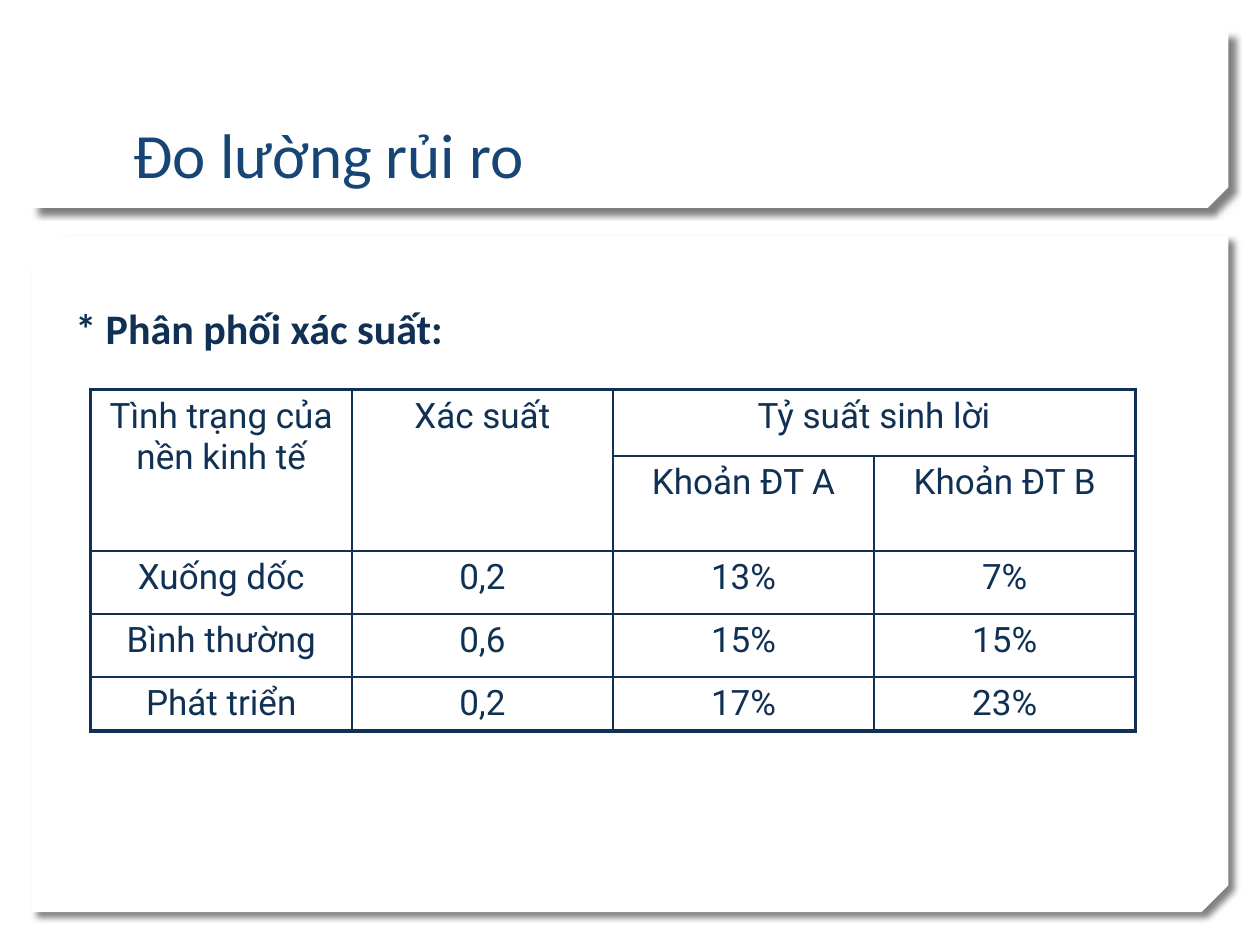
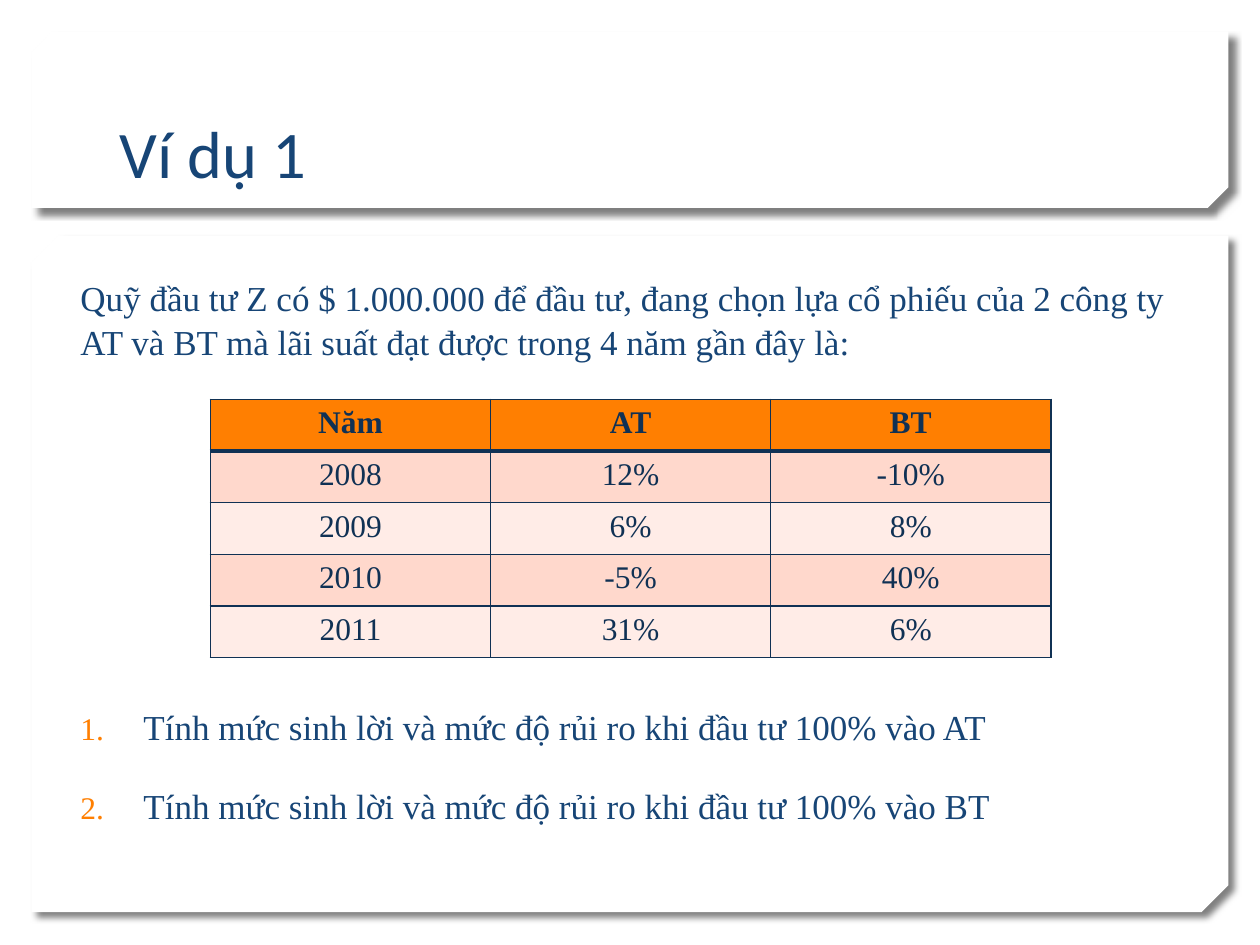
from lxml import etree
from pptx import Presentation
from pptx.dml.color import RGBColor
from pptx.enum.shapes import MSO_SHAPE as Shape
from pptx.enum.text import MSO_ANCHOR as Anchor, MSO_AUTO_SIZE as AutoSize, PP_ALIGN as Align
from pptx.oxml.ns import qn
from pptx.util import Inches, Pt

# Content
RISK_TITLE = "Đo lường rủi ro"
RISK_HEADING = "* Phân phối xác suất:"
RISK_ROWS = [
    ["Tình trạng của nền kinh tế", "Xác suất", "Tỷ suất sinh lời", ""],
    ["", "", "Khoản ĐT A", "Khoản ĐT B"],
    ["Xuống dốc", "0,2", "13%", "7%"],
    ["Bình thường", "0,6", "15%", "15%"],
    ["Phát triển", "0,2", "17%", "23%"],
]
RISK_ROW_HEIGHTS = [0.53, 0.75, 0.5, 0.5, 0.42]
RISK_MERGES = [((0, 0), (1, 0)), ((0, 1), (1, 1)), ((0, 2), (0, 3))]

EXAMPLE_TITLE = "Ví dụ 1"
EXAMPLE_INTRO = ("Quỹ đầu tư Z có $ 1.000.000 để đầu tư, đang chọn lựa cổ phiếu của 2 công ty "
                 "AT và BT mà lãi suất đạt được trong 4 năm gần đây là:")
EXAMPLE_ROWS = [
    ["Năm", "AT", "BT"],
    ["2008", "12%", "-10%"],
    ["2009", "6%", "8%"],
    ["2010", "-5%", "40%"],
    ["2011", "31%", "6%"],
]
EXAMPLE_QUESTIONS = [
    "Tính mức sinh lời và mức độ rủi ro khi đầu tư 100% vào AT",
    "Tính mức sinh lời và mức độ rủi ro khi đầu tư 100% vào BT",
]

# Shared look
WHITE = RGBColor(0xFF, 0xFF, 0xFF)
BLUE = RGBColor(0x17, 0x45, 0x76)
NAVY = RGBColor(0x10, 0x31, 0x54)
ORANGE = RGBColor(0xFF, 0x7F, 0x01)
PINK = RGBColor(0xFF, 0xD8, 0xCC)
PALE_PINK = RGBColor(0xFF, 0xEC, 0xE7)
CALIBRI, ROBOTO, TIMES = "Calibri", "Roboto", "Times New Roman"
TITLE_ONLY = 5
PANELS = [(1.87, 5.37, 0.04), (0.25, 1.4, 0.117)]  # top, height, corner cut


def box(left, top, width, height):
    return [Inches(length) for length in (left, top, width, height)]


def write(paragraph, text, font, size, color, bold=False):
    run = paragraph.add_run()
    run.text = text
    run.font.name, run.font.size, run.font.bold = font, Pt(size), bold
    run.font.color.rgb = color


def child(parent, tag, **attributes):
    return etree.SubElement(parent, qn(tag), {k: str(v) for k, v in attributes.items()})


def add_panel(slide, top, height, cut):
    panel = slide.shapes.add_shape(Shape.SNIP_2_DIAG_RECTANGLE, *box(0.25, top, 9.5, height))
    panel.adjustments[0], panel.adjustments[1] = 0, cut
    panel.fill.solid()
    panel.fill.fore_color.rgb = WHITE
    panel.line.fill.background()
    panel.shadow.inherit = False
    properties = panel._element.spPr
    properties.find(qn("a:xfrm")).set("flipV", "1")
    shadow = child(properties.find(qn("a:effectLst")), "a:outerShdw", blurRad=Pt(4),
                   dist=Pt(5), dir=45 * 60000, algn="tl", rotWithShape=0)
    child(child(shadow, "a:srgbClr", val="000000"), "a:alpha", val=50000)
    slide.shapes._spTree.insert(2, panel._element)  # behind the title


def add_slide(deck, title_text, size, inset=0.1):
    slide = deck.slides.add_slide(deck.slide_layouts[TITLE_ONLY])
    for panel in PANELS:
        add_panel(slide, *panel)
    title = slide.shapes.title
    title.left, title.top, title.width, title.height = box(0.85, 0.32, 8.29, 1.25)
    frame = title.text_frame
    frame.auto_size, frame.vertical_anchor = AutoSize.NONE, Anchor.BOTTOM
    frame.margin_left = Inches(inset)
    frame.paragraphs[0].alignment = Align.LEFT
    write(frame.paragraphs[0], title_text, CALIBRI, size, BLUE)
    return slide


def add_text(slide, place, texts, font, size, color, bold=False, numbered=False):
    frame = slide.shapes.add_textbox(*box(*place)).text_frame
    frame.word_wrap = True
    for index, text in enumerate(texts):
        paragraph = frame.add_paragraph() if index else frame.paragraphs[0]
        paragraph.line_spacing = 1.05
        if index:
            paragraph.space_before = Pt(20)
        if numbered:
            settings = paragraph._p.get_or_add_pPr()
            settings.set("marL", str(Inches(0.5)))
            settings.set("indent", str(-Inches(0.5)))
            child(child(settings, "a:buClr"), "a:srgbClr", val=ORANGE)
            child(settings, "a:buSzPct", val=90000)
            child(settings, "a:buFont", typeface=font)
            child(settings, "a:buAutoNum", type="arabicPeriod")
        write(paragraph, text, font, size, color, bold)


def set_borders(cell, widths):
    """Draw the left, right, top and bottom edges, ahead of the cell's fill."""
    settings = cell._tc.get_or_add_tcPr()
    for position, (side, width) in enumerate(zip("LRTB", widths)):
        line = child(settings, f"a:ln{side}", w=Pt(width))
        child(child(line, "a:solidFill"), "a:srgbClr", val=NAVY)
        settings.insert(position, line)


def add_table(slide, place, rows, heights, font, size, fills=None, merges=(),
              outer=1, header_rule=1):
    row_count, column_count = len(rows), len(rows[0])
    table = slide.shapes.add_table(row_count, column_count, *box(*place)).table
    table.first_row = table.horz_banding = False
    for column in table.columns:
        column.width = Inches(place[2] / column_count)
    for row, height in zip(table.rows, heights):
        row.height = Inches(height)
    for first, last in merges:
        table.cell(*first).merge(table.cell(*last))

    rules = [outer, header_rule] + [1] * (row_count - 2) + [outer]
    uprights = [outer] + [1] * (column_count - 1) + [outer]
    for r, texts in enumerate(rows):
        for c, text in enumerate(texts):
            cell = table.cell(r, c)
            if fills:
                cell.fill.solid()
                cell.fill.fore_color.rgb = fills[r]
            else:
                cell.fill.background()
            if cell.is_spanned:
                continue
            below = r + (cell.span_height if cell.is_merge_origin else 1)
            after = c + (cell.span_width if cell.is_merge_origin else 1)
            set_borders(cell, (uprights[c], uprights[after], rules[r], rules[below]))
            paragraph = cell.text_frame.paragraphs[0]
            paragraph.alignment = Align.CENTER
            write(paragraph, text, font, size, NAVY, bold=bool(fills) and r == 0)


def main():
    deck = Presentation()
    deck.slide_width, deck.slide_height = Inches(10), Inches(7.5)

    # Measuring risk
    risk = add_slide(deck, RISK_TITLE, 36, inset=0.21)
    add_table(risk, (0.72, 3.09, 8.29, sum(RISK_ROW_HEIGHTS)), RISK_ROWS, RISK_ROW_HEIGHTS,
              ROBOTO, 20, merges=RISK_MERGES, outer=2.25)
    add_text(risk, (0.5, 2.33, 9.5, 0.76), [RISK_HEADING], CALIBRI, 24, NAVY, bold=True)

    # Example 1
    example = add_slide(deck, EXAMPLE_TITLE, 38)
    add_text(example, (0.54, 2.13, 9.11, 0.8), [EXAMPLE_INTRO], TIMES, 20, BLUE)
    add_table(example, (1.67, 3.17, 6.67, 2.03), EXAMPLE_ROWS, [0.41] * len(EXAMPLE_ROWS),
              TIMES, 18, fills=[ORANGE] + [PINK, PALE_PINK] * 2, header_rule=3)
    add_text(example, (0.54, 5.53, 9.11, 1.05), EXAMPLE_QUESTIONS, TIMES, 20, BLUE,
             numbered=True)

    deck.save("out.pptx")


if __name__ == "__main__":
    main()
